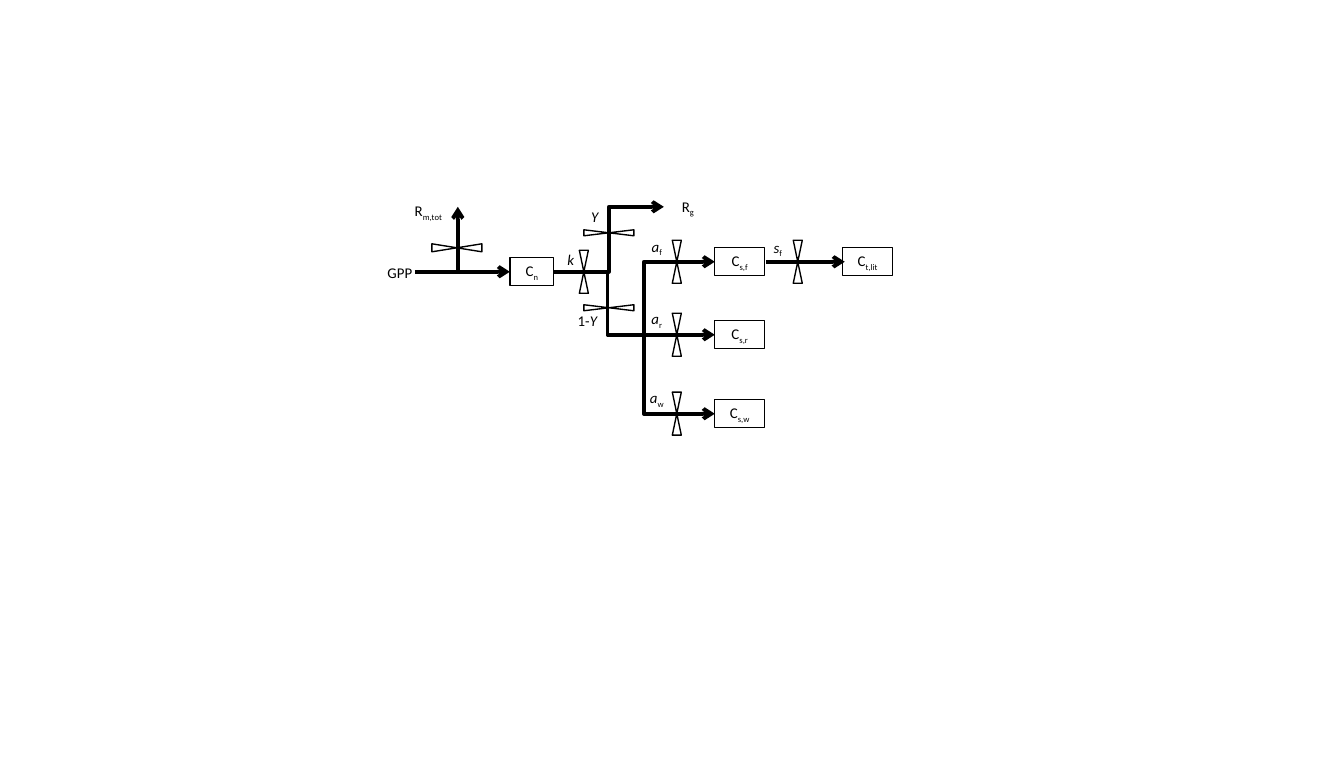
from lxml.etree import SubElement
from pptx import Presentation
from pptx.dml.color import RGBColor
from pptx.enum.shapes import MSO_CONNECTOR, MSO_SHAPE
from pptx.enum.text import MSO_ANCHOR, PP_ALIGN
from pptx.oxml.ns import qn
from pptx.util import Inches, Pt

SCALE = 914400 / 133.9
BLACK = "000000"
POOL_HEIGHT = 28
LEAF_Y, ROOT_Y, WOOD_Y = 262, 335, 414
INFLOW_Y, GROWTH_Y = 272, 207


def px(length):
    return round(length * SCALE)


def color(value):
    return RGBColor.from_string(value)


def write(box, text, prefix="", sub="", italic=False, size=8, font="Calibri"):
    frame = box.text_frame
    frame.word_wrap = False
    frame.vertical_anchor = MSO_ANCHOR.MIDDLE
    frame.margin_left = frame.margin_right = frame.margin_top = frame.margin_bottom = 0
    para = frame.paragraphs[0]
    para.alignment = PP_ALIGN.CENTER
    for part, slanted, lowered in ((prefix, False, False), (text, italic, False), (sub, False, True)):
        if not part:
            continue
        span = para.add_run()
        span.text = part
        span.font.name = font
        span.font.size = Pt(size)
        span.font.italic = slanted
        span.font.color.rgb = color(BLACK)
        if lowered:
            span._r.get_or_add_rPr().set("baseline", "-25000")


def add_label(page, x, y, width, height, text, **style):
    write(page.shapes.add_textbox(px(x), px(y), px(width), px(height)), text, **style)


def add_outline(page, preset, center_x, center_y, width, height):
    shape = page.shapes.add_shape(
        preset, px(center_x - width / 2), px(center_y - height / 2), px(width), px(height))
    shape.shadow.inherit = False
    shape.fill.background()
    shape.line.color.rgb = color(BLACK)
    shape.line.width = Pt(0.75)
    return shape


def add_pool(page, center_x, center_y, sub, width=50):
    write(add_outline(page, MSO_SHAPE.RECTANGLE, center_x, center_y, width, POOL_HEIGHT), "C", sub=sub)


def add_valve(page, center_x, center_y, width=9, height=43, rotation=0):
    add_outline(page, MSO_SHAPE.FLOWCHART_COLLATE, center_x, center_y, width, height).rotation = rotation


def add_flow(page, start, end, bend=None):
    kind = MSO_CONNECTOR.STRAIGHT if bend is None else MSO_CONNECTOR.ELBOW
    flow = page.shapes.add_connector(kind, *map(px, start + end))
    flow.line.color.rgb = color(BLACK)
    flow.line.width = Pt(2)
    SubElement(flow.line._get_or_add_ln(), qn("a:tailEnd"), type="arrow")
    properties = flow._element.spPr
    SubElement(properties, qn("a:effectLst"))
    if bend is not None:
        adjustments = properties.find(qn("a:prstGeom")).get_or_add_avLst()
        SubElement(adjustments, qn("a:gd"), name="adj1", fmla=f"val {round(bend * 100000)}")


def main():
    deck = Presentation()
    deck.slide_width, deck.slide_height = Inches(10.04), Inches(5.71)
    page = deck.slides.add_slide(deck.slide_layouts[6])

    add_flow(page, (415, INFLOW_Y), (510, INFLOW_Y))
    add_flow(page, (458, INFLOW_Y), (458, GROWTH_Y))
    add_flow(page, (554, INFLOW_Y), (664, GROWTH_Y), bend=0.5)
    add_flow(page, (605, INFLOW_Y), (715, ROOT_Y), bend=0.025)
    add_flow(page, (766, LEAF_Y), (845, LEAF_Y))
    for branch_y in (LEAF_Y, WOOD_Y):
        add_flow(page, (644, ROOT_Y), (715, branch_y), bend=0)

    add_pool(page, 532, INFLOW_Y, "n", width=44)
    add_pool(page, 868, LEAF_Y, "t,lit")
    for part, y in (("f", LEAF_Y), ("r", ROOT_Y), ("w", WOOD_Y)):
        add_pool(page, 740, y, f"s,{part}")
        add_valve(page, 677, y)
        add_label(page, 633, y - 26, 48, 23, "a", sub=part, italic=True)

    add_valve(page, 584, INFLOW_Y)
    add_valve(page, 798, LEAF_Y)
    add_valve(page, 457, 248, width=8, height=50, rotation=90)
    for y in (233, 308):
        add_valve(page, 609, y, width=6, height=50, rotation=90)

    add_label(page, 367, 259, 66, 28, "GPP")
    add_label(page, 392, 198, 73, 28, "R", sub="m,tot")
    add_label(page, 664, 192, 48, 31, "R", sub="g")
    add_label(page, 551, 246, 40, 28, "k", italic=True)
    add_label(page, 575, 203, 40, 28, "Y", italic=True)
    add_label(page, 558, 307, 59, 27, "Y", prefix="1-", italic=True)
    add_label(page, 755, 237, 46, 23, "s", sub="f", italic=True)

    deck.save("out.pptx")


main()
